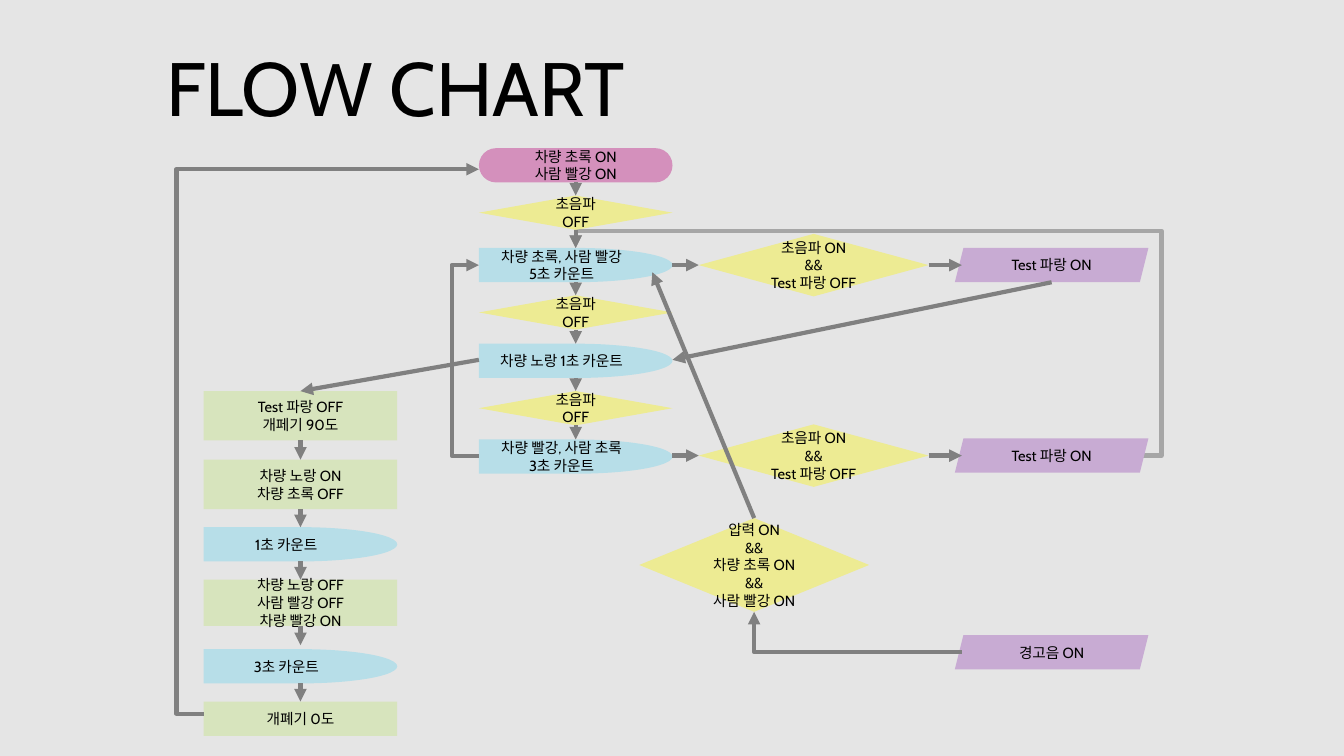
from itertools import pairwise

from lxml.etree import SubElement
from pptx import Presentation
from pptx.dml.color import RGBColor
from pptx.enum.shapes import MSO_CONNECTOR, MSO_SHAPE
from pptx.enum.text import MSO_ANCHOR, MSO_AUTO_SIZE, PP_ALIGN
from pptx.oxml.ns import qn
from pptx.util import Inches, Pt

COLORS = {
    "background": "E5E5E5", "text": "000000", "arrow": "808080", "return": "A6A6A6",
    "start": "D490BC", "check": "EDEB93", "count": "B7DEE8",
    "output": "C8ABD3", "action": "D7E4BD",
}
PRESETS = {
    "start": MSO_SHAPE.ROUNDED_RECTANGLE, "check": MSO_SHAPE.DIAMOND,
    "count": MSO_SHAPE.FLOWCHART_DELAY, "output": MSO_SHAPE.PARALLELOGRAM,
    "action": MSO_SHAPE.RECTANGLE,
}
BODY_FONT = {"name": "Cabin", "size": Pt(10.5)}
TITLE_FONT = {"name": "Cabin", "size": Pt(54), "bold": False}
FRAME = {"vertical_anchor": MSO_ANCHOR.MIDDLE, "word_wrap": True}
TITLE_FRAME = {"vertical_anchor": MSO_ANCHOR.TOP, "word_wrap": True,
               "auto_size": MSO_AUTO_SIZE.NONE}

# Grid in inches: node size, check size and column positions
NODE_WIDTH, NODE_HEIGHT = 1.92, 0.34
CHECK_WIDTH, CHECK_HEIGHT = 2.28, 0.62
LEFT_COLUMN, MAIN_COLUMN, CHECK_COLUMN, OUTPUT_COLUMN = 2.02, 4.75, 6.93, 9.47
ARROW_LENGTH = 0.19
SLANT = 0.07

ULTRASONIC_OFF = "초음파\vOFF"
# Each step: kind, text, height, gap above
MAIN_STEPS = [
    ("start", "차량 초록 ON\n사람 빨강 ON", NODE_HEIGHT, 0),
    ("check", ULTRASONIC_OFF, NODE_HEIGHT, 0.13),
    ("count", "차량 초록, 사람 빨강\n5초 카운트", NODE_HEIGHT, 0.18),
    ("check", ULTRASONIC_OFF, NODE_HEIGHT, 0.13),
    ("count", "차량 노랑 1초 카운트", NODE_HEIGHT, 0.14),
    ("check", ULTRASONIC_OFF, NODE_HEIGHT, 0.13),
    ("count", "차량 빨강, 사람 초록\n3초 카운트", NODE_HEIGHT, 0.14),
]
GATE_STEPS = [
    ("action", "Test 파랑 OFF\n개페기 90도", 0.49, 0),
    ("action", "차량 노랑 ON\n차량 초록 OFF", 0.49, 0.19),
    ("count", "1초 카운트", NODE_HEIGHT, 0.18),
    ("action", "차량 노랑 OFF\n사람 빨강 OFF\n차량 빨강 ON", 0.46, 0.18),
    ("count", "3초 카운트", NODE_HEIGHT, 0.23),
    ("action", "개폐기 0도", NODE_HEIGHT, 0.18),
]


def apply(target, values):
    for name, value in values.items():
        setattr(target, name, value)


def format_text(text_frame, text, font, frame, alignment):
    text_frame.text = text
    apply(text_frame, frame)
    for paragraph in text_frame.paragraphs:
        paragraph.alignment = alignment
        apply(paragraph.font, font)
        paragraph.font.color.rgb = RGBColor.from_string(COLORS["text"])


def add_node(slide, kind, text, box):
    shape = slide.shapes.add_shape(PRESETS[kind], *map(Inches, box))
    shape.shadow.inherit = False
    shape.fill.solid()
    shape.fill.fore_color.rgb = RGBColor.from_string(COLORS[kind])
    shape.line.fill.background()
    if kind == "start":
        shape.adjustments[0] = 0.5
    format_text(shape.text_frame, text, BODY_FONT, FRAME, PP_ALIGN.CENTER)


def format_arrow(line, color):
    line.color.rgb = RGBColor.from_string(COLORS[color])
    line.width = Pt(3)
    SubElement(line._get_or_add_ln(), qn("a:tailEnd"), type="triangle")


def add_arrow(slide, start, end):
    connector = slide.shapes.add_connector(
        MSO_CONNECTOR.STRAIGHT, *map(Inches, (*start, *end)))
    format_arrow(connector.line, "arrow")
    SubElement(connector._element.spPr, qn("a:effectLst"))


def add_route(slide, points, color="arrow"):
    """Draw an arrow that turns at right angles through the points."""
    start, *corners = [tuple(map(Inches, point)) for point in points]
    builder = slide.shapes.build_freeform(*start)
    builder.add_line_segments(corners, close=False)
    route = builder.convert_to_shape()
    route.fill.background()
    format_arrow(route.line, color)
    route.shadow.inherit = False


def add_title(slide, text, box):
    title = slide.shapes.title
    apply(title, dict(zip(("left", "top", "width", "height"), map(Inches, box))))
    format_text(title.text_frame, text, TITLE_FONT, TITLE_FRAME, PP_ALIGN.LEFT)


def add_step_column(slide, left, top, steps):
    """Stack the steps downwards and join each one to the next."""
    spans = []
    for kind, text, height, gap in steps:
        top += gap
        add_node(slide, kind, text, (left, top, NODE_WIDTH, height))
        spans.append((top, top + height))
        top += height
    center = left + NODE_WIDTH / 2
    for (_, bottom), (next_top, _) in pairwise(spans):
        end = min(next_top, bottom + ARROW_LENGTH)
        add_arrow(slide, (center, bottom), (center, end))


def add_test_branch(slide, middle):
    """Check to the right of a main step, leading to the test output."""
    add_node(slide, "check", "초음파 ON\n&&\nTest 파랑 OFF",
             (CHECK_COLUMN, middle - CHECK_HEIGHT / 2, CHECK_WIDTH, CHECK_HEIGHT))
    add_node(slide, "output", "Test 파랑 ON",
             (OUTPUT_COLUMN, middle - NODE_HEIGHT / 2, NODE_WIDTH, NODE_HEIGHT))
    add_arrow(slide, (MAIN_COLUMN + NODE_WIDTH, middle), (CHECK_COLUMN, middle))
    add_arrow(slide, (CHECK_COLUMN + CHECK_WIDTH, middle),
              (OUTPUT_COLUMN + SLANT, middle))


def add_alarm_branch(slide, left, top, height):
    """Alarm output that feeds the pressure check above it."""
    alarm_top = top + 1.16
    center, alarm_middle = left + CHECK_WIDTH / 2, alarm_top + NODE_HEIGHT / 2
    add_node(slide, "check", "압력 ON\n&&\n차량 초록 ON\n&&\n사람 빨강 ON",
             (left, top, CHECK_WIDTH, height))
    add_node(slide, "output", "경고음 ON",
             (OUTPUT_COLUMN, alarm_top, NODE_WIDTH, NODE_HEIGHT))
    add_route(slide, [(OUTPUT_COLUMN + SLANT, alarm_middle),
                      (center, alarm_middle), (center, top + height)])
    add_arrow(slide, (center, top), (6.47, 2.7))


def add_cross_links(slide, green, yellow, red):
    """Links between the columns, at the middles of the three main counts."""
    main_right = MAIN_COLUMN + NODE_WIDTH
    add_arrow(slide, (OUTPUT_COLUMN + NODE_WIDTH / 2, green + NODE_HEIGHT / 2),
              (main_right, yellow))
    add_arrow(slide, (MAIN_COLUMN, yellow), (LEFT_COLUMN + NODE_WIDTH / 2, 3.88))
    add_route(slide, [(MAIN_COLUMN, red), (4.48, red), (4.48, green),
                      (MAIN_COLUMN, green)])
    add_route(slide, [(LEFT_COLUMN, 7.08), (1.75, 7.08), (1.75, 1.68),
                      (MAIN_COLUMN, 1.68)])


def add_flow_chart(slide):
    green, yellow, red = 2.63, 3.57, 4.52
    main_center = MAIN_COLUMN + NODE_WIDTH / 2
    add_route(slide, [(11.33, red), (11.52, red), (11.52, 2.29),
                      (main_center, 2.29), (main_center, 2.46)], "return")
    add_step_column(slide, MAIN_COLUMN, 1.47, MAIN_STEPS)
    add_step_column(slide, LEFT_COLUMN, 3.88, GATE_STEPS)
    for middle in (green, red):
        add_test_branch(slide, middle)
    add_cross_links(slide, green, yellow, red)
    add_alarm_branch(slide, 6.34, 5.14, 0.93)


def main():
    presentation = Presentation()
    presentation.slide_width, presentation.slide_height = Inches(13.33), Inches(7.5)
    slide = presentation.slides.add_slide(presentation.slide_layouts[5])
    slide.background.fill.solid()
    slide.background.fill.fore_color.rgb = RGBColor.from_string(COLORS["background"])
    add_title(slide, "FLOW CHART", (1.55, 0.36, 5.16, 1.01))
    add_flow_chart(slide)
    presentation.save("out.pptx")


if __name__ == "__main__":
    main()
